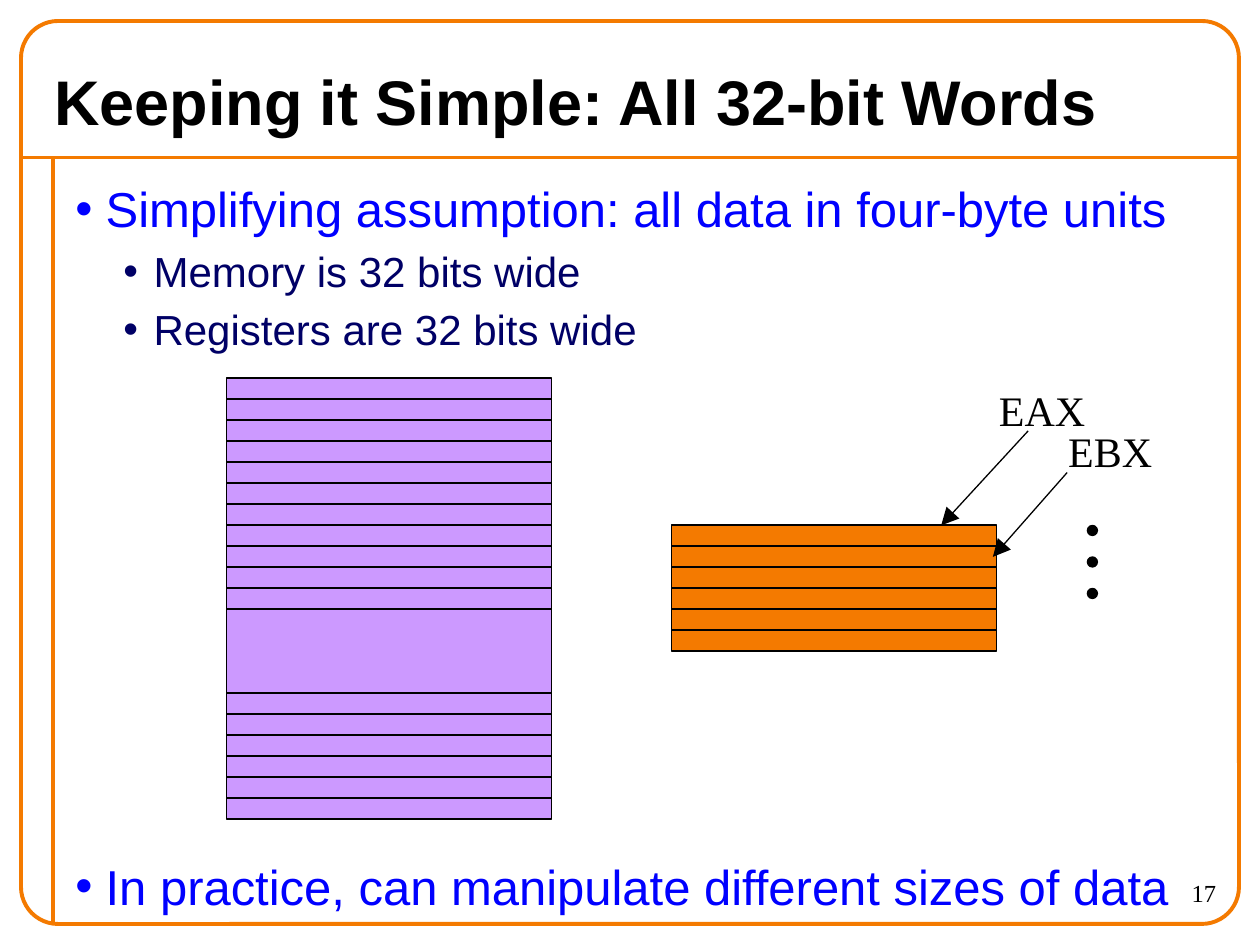
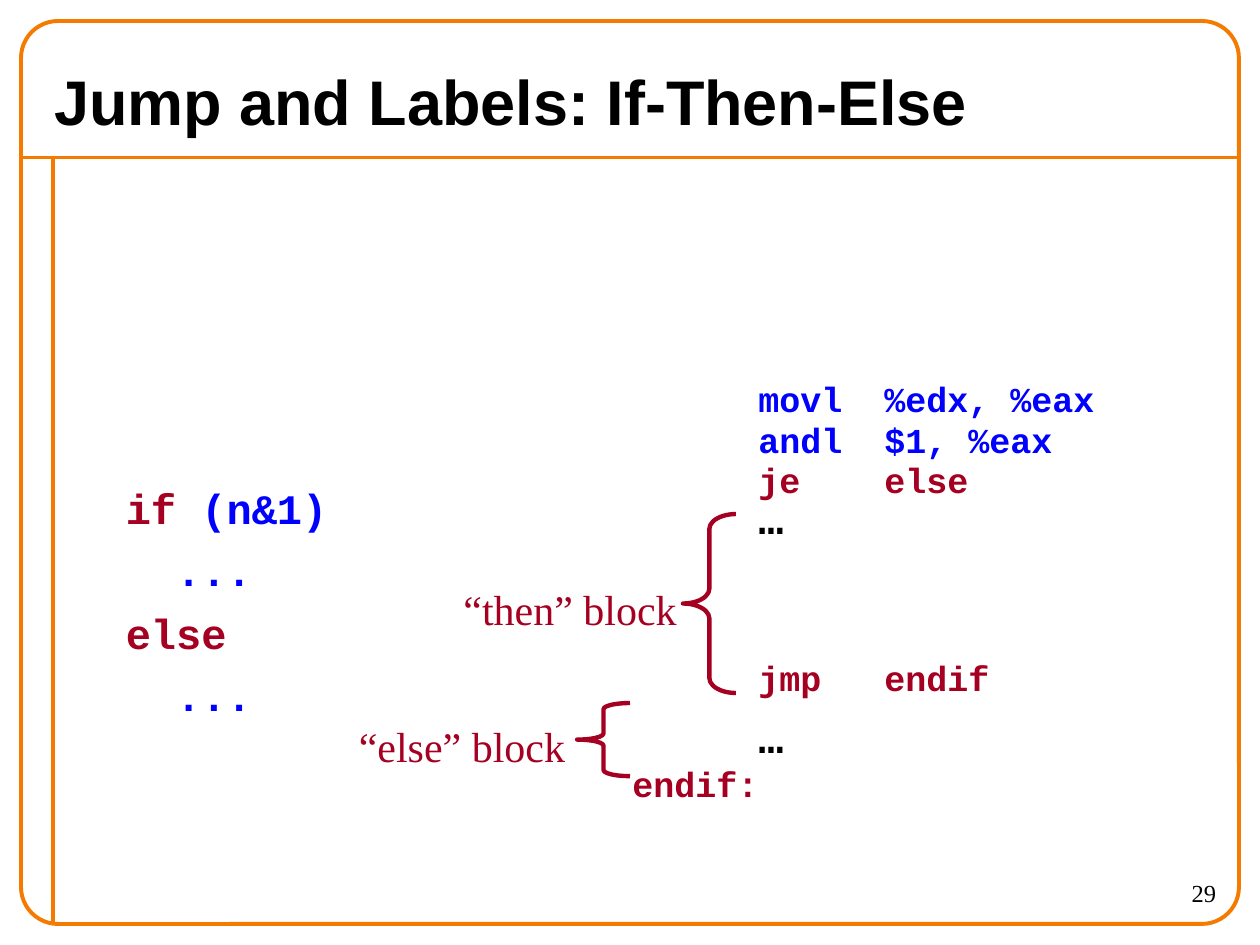
from lxml.etree import SubElement
from pptx import Presentation
from pptx.dml.color import RGBColor
from pptx.enum.shapes import MSO_CONNECTOR, MSO_SHAPE
from pptx.enum.text import MSO_ANCHOR, MSO_AUTO_SIZE, PP_ALIGN
from pptx.oxml.ns import qn
from pptx.util import Inches, Pt

ORANGE = RGBColor(0xF4, 0x7A, 0x00)
LILAC = RGBColor(0xCC, 0x99, 0xFF)
BLUE = RGBColor(0x00, 0x00, 0xFF)
NAVY = RGBColor(0x00, 0x00, 0x66)
RED = RGBColor(0xA5, 0x00, 0x21)
BLACK = RGBColor(0x00, 0x00, 0x00)

SANS, SERIF, MONO = "Arial", "Times New Roman", "Courier New"
WIDTH, HEIGHT = 10, 7.5
MARGIN = 1 / 6
TITLE_RULE, SIDE_RULE = 1.25, 0.42
INSET_Y = 0.05
MONO_DESCENT = 0.3   # share of the font size below the baseline

# Words slide
WORDS_TITLE, WORDS_PAGE = "Keeping it Simple: All 32-bit Words", "17"
# (top, [(level, text)])
BULLET_GROUPS = [
    (1.37, [(0, "Simplifying assumption: all data in four-byte units"),
            (1, "Memory is 32 bits wide"),
            (1, "Registers are 32 bits wide")]),
    (6.75, [(0, "In practice, can manipulate different sizes of data")]),
]
# level: (indent, size, colour, space before)
BULLET_STYLES = [(0.24, 28, BLUE, 17.5), (0.62, 24, NAVY, 4.5)]
BULLET_HANG = 0.24

WORD_W, WORD_H = 2.58, 1 / 6
# (left, top, colour, heights in words)
WORD_STACKS = [
    (1.8, 3, LILAC, [1] * 11 + [4] + [1] * 6),
    (5.33, 25 / 6, ORANGE, [1] * 6),
]
REGISTER_W = 1.1
# (name, left, top, arrow start, arrow end)
REGISTERS = [
    ("EAX", 7.83, 3, (8.16, 3.42), (7.47, 4.17)),
    ("EBX", 8.38, 3.33, (8.47, 3.75), (7.88, 4.42)),
]
DOT_LEFT, DOT_TOP, DOT_SIZE, DOT_PITCH, DOT_COUNT = 8.63, 4.17, 0.08, 0.25, 3

# Jump slide
JUMP_TITLE, JUMP_PAGE = "Jump and Labels: If-Then-Else", "29"
# (left, width, first baseline, pitch, size, lines made of (text, colour) parts)
CODE_BLOCKS = [
    (0.9, 3, 4.13, 0.494, 24, [
        [("if", RED), (" (n&1)", BLUE)],
        [("  ...", BLUE)],
        [("else", RED)],
        [("  ...", BLUE)],
    ]),
    (4.92, 4.67, 3.25, 0.32, 20, [
        [("\tmovl\t%edx, %eax", BLUE)],
        [("\tandl\t$1, %eax", BLUE)],
        [("\tje\telse", RED)],
    ]),
    (4.92, 4.67, 4.21, 0.34, 24, [[("\t…", BLACK)]]),
    (4.92, 4.67, 5.46, 0.34, 20, [[("\tjmp\tendif", RED)]]),
    (4.92, 4.67, 5.95, 0.34, 24, [[("\t…", BLACK)]]),
    (4.92, 4.67, 6.3, 0.34, 20, [[("endif:", RED)]]),
]
CODE_TABS = (1, 2)
BLOCK_LABEL_W = 2.2
# (label, label left, label top, brace left, brace top, height)
BRACES = [
    ("“then” block", 3.58, 4.58, 5.42, 4.08, 1.42),
    ("“else” block", 2.75, 5.67, 4.58, 5.58, 0.58),
]
BRACE_W = 0.42


def box(*lengths):
    return [Inches(length) for length in lengths]


def style(font, name, size, colour, bold=False):
    font.name, font.size, font.bold = name, Pt(size), bold
    font.color.rgb = colour


def add_preset(slide, preset, place, fill, line, line_width):
    shape = slide.shapes.add_shape(preset, *box(*place))
    shape.shadow.inherit = False
    if fill is None:
        shape.fill.background()
    else:
        shape.fill.solid()
        shape.fill.fore_color.rgb = fill
    shape.line.color.rgb = line
    shape.line.width = Pt(line_width)
    return shape


def add_line(slide, start, end, colour, width, arrow=False):
    line = slide.shapes.add_connector(MSO_CONNECTOR.STRAIGHT, *box(*start, *end))
    line.line.color.rgb = colour
    line.line.width = Pt(width)
    if arrow:
        SubElement(line.line._get_or_add_ln(), qn("a:tailEnd"),
                   type="triangle", w="lg", len="lg")
    SubElement(line._element.spPr, qn("a:effectLst"))


def add_frame(slide, place):
    frame = slide.shapes.add_textbox(*box(*place)).text_frame
    frame.word_wrap = True
    return frame


def add_label(slide, text, place, size, colour, align=PP_ALIGN.LEFT):
    frame = add_frame(slide, place)
    frame.text = text
    frame.paragraphs[0].alignment = align
    style(frame.paragraphs[0].font, SERIF, size, colour)


def paragraphs_for(frame, count):
    return [frame.paragraphs[0]] + [frame.add_paragraph() for _ in range(count - 1)]


def new_slide(deck, title_text, page):
    """Add a slide with the orange frame, its title and its page number."""
    slide = deck.slides.add_slide(deck.slide_layouts[5])
    right, bottom = WIDTH - MARGIN, HEIGHT - MARGIN
    add_line(slide, (MARGIN, TITLE_RULE), (right, TITLE_RULE), ORANGE, 2.25)
    add_line(slide, (SIDE_RULE, TITLE_RULE), (SIDE_RULE, bottom), ORANGE, 2.25)
    border = add_preset(slide, MSO_SHAPE.ROUNDED_RECTANGLE,
                        (MARGIN, MARGIN, right - MARGIN, bottom - MARGIN),
                        None, ORANGE, 2.25)
    border.adjustments[0] = 0.041

    title = slide.shapes.title
    title.left, title.top, title.width, title.height = box(0.33, 0.42, 9.33, 0.75)
    frame = title.text_frame
    frame.text = title_text
    frame.vertical_anchor = MSO_ANCHOR.MIDDLE
    frame.auto_size = MSO_AUTO_SIZE.NONE
    frame.paragraphs[0].alignment = PP_ALIGN.LEFT
    style(frame.paragraphs[0].font, SANS, 36, BLACK, bold=True)

    add_label(slide, page, (8.75, 6.92, 1, 0.42), 14, BLACK, PP_ALIGN.RIGHT)
    return slide


def add_bullets(slide, top, bullets):
    frame = add_frame(slide, (0.5, top, 9.25, 0.5 * len(bullets)))
    for index, (paragraph, (level, text)) in enumerate(
            zip(paragraphs_for(frame, len(bullets)), bullets)):
        indent, size, colour, space = BULLET_STYLES[level]
        paragraph.text = text
        paragraph.level = level
        if index:
            paragraph.space_before = Pt(space)
        properties = paragraph._p.get_or_add_pPr()
        properties.set("marL", str(Inches(indent)))
        properties.set("indent", str(-Inches(BULLET_HANG)))
        SubElement(properties, qn("a:buFont"), typeface=SANS)
        SubElement(properties, qn("a:buChar"), char="•")
        style(paragraph.runs[0].font, SANS, size, colour)


def add_code(slide, left, width, baseline, pitch, size, lines):
    """Set code lines at a fixed pitch, the first one on the given baseline."""
    top = baseline + MONO_DESCENT * size / 72 - pitch - INSET_Y
    frame = add_frame(slide, (left, top, width, pitch * len(lines) + 2 * INSET_Y))
    for paragraph, parts in zip(paragraphs_for(frame, len(lines)), lines):
        paragraph.line_spacing = Pt(round(pitch * 72, 1))
        tabs = SubElement(paragraph._p.get_or_add_pPr(), qn("a:tabLst"))
        for stop in CODE_TABS:
            SubElement(tabs, qn("a:tab"), pos=str(Inches(stop)), algn="l")
        for text, colour in parts:
            run = paragraph.add_run()
            run.text = text
            style(run.font, MONO, size, colour, bold=True)


def build_words(deck):
    slide = new_slide(deck, WORDS_TITLE, WORDS_PAGE)
    for top, bullets in BULLET_GROUPS:
        add_bullets(slide, top, bullets)
    for left, top, colour, heights in WORD_STACKS:
        for words in heights:
            add_preset(slide, MSO_SHAPE.RECTANGLE,
                       (left, top, WORD_W, words * WORD_H), colour, BLACK, 0.75)
            top += words * WORD_H
    for register, left, top, start, end in REGISTERS:
        add_label(slide, register, (left, top, REGISTER_W, 0.5), 24, BLACK)
        add_line(slide, start, end, BLACK, 0.75, arrow=True)
    for index in range(DOT_COUNT):
        add_preset(slide, MSO_SHAPE.OVAL,
                   (DOT_LEFT, DOT_TOP + index * DOT_PITCH, DOT_SIZE, DOT_SIZE),
                   BLACK, BLACK, 0.75)


def build_jump(deck):
    slide = new_slide(deck, JUMP_TITLE, JUMP_PAGE)
    for block in CODE_BLOCKS:
        add_code(slide, *block)
    for label, left, top, brace_left, brace_top, height in BRACES:
        brace = add_preset(slide, MSO_SHAPE.LEFT_BRACE,
                           (brace_left, brace_top, BRACE_W, height), None, RED, 2.5)
        brace.adjustments[0] = height / 12 / BRACE_W
        add_label(slide, label, (left, top, BLOCK_LABEL_W, 0.5), 24, RED)


def main():
    deck = Presentation()
    deck.slide_width, deck.slide_height = box(WIDTH, HEIGHT)
    build_words(deck)
    build_jump(deck)
    deck.save("out.pptx")


if __name__ == "__main__":
    main()
